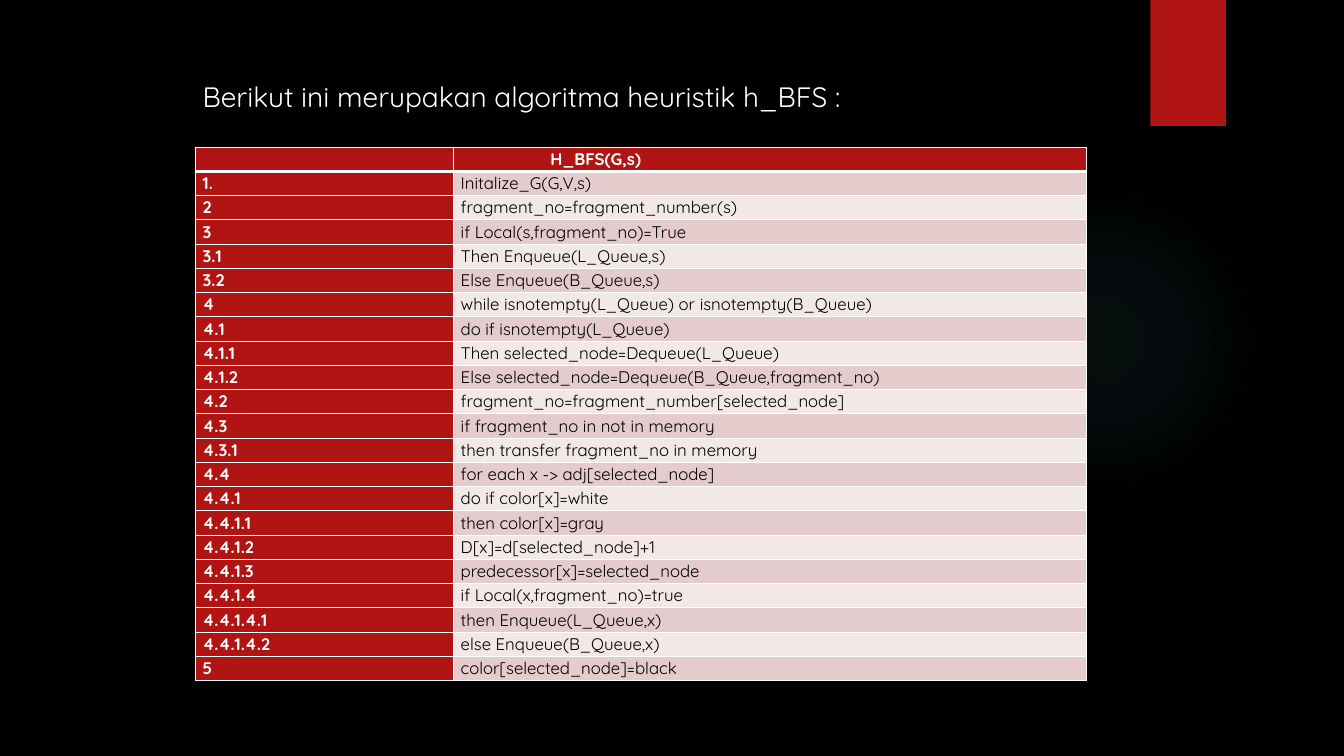
"""Build the slide that lists the h_BFS heuristic algorithm."""
from lxml import etree
from pptx import Presentation
from pptx.dml.color import RGBColor
from pptx.enum.shapes import MSO_SHAPE
from pptx.enum.text import MSO_ANCHOR, PP_ALIGN
from pptx.oxml import parse_xml
from pptx.oxml.ns import nsdecls, qn
from pptx.util import Inches, Pt

ELLIPSE, RECTANGLE = MSO_SHAPE.OVAL, MSO_SHAPE.RECTANGLE
TOP, LEFT = MSO_ANCHOR.TOP, PP_ALIGN.LEFT
BLACK = RGBColor(0x00, 0x00, 0x00)
WHITE = RGBColor(0xFF, 0xFF, 0xFF)
RED = RGBColor(0xB0, 0x15, 0x13)
TEAL = RGBColor(0x50, 0xB9, 0xC1)
DARK_BAND = RGBColor(0xE4, 0xCC, 0xCC)
LIGHT_BAND = RGBColor(0xF2, 0xE8, 0xE7)
FONT = "Quicksand"
GLOW_STOPS = [(0, 7), (36, 6), (69, 0)]
ROWS = [
    ("", "H_BFS(G,s)"),
    ("1.", "Initalize_G(G,V,s)"),
    ("2", "fragment_no=fragment_number(s)"),
    ("3", "if Local(s,fragment_no)=True"),
    ("3.1", "Then Enqueue(L_Queue,s)"),
    ("3.2", "Else Enqueue(B_Queue,s)"),
    ("4", "while isnotempty(L_Queue) or isnotempty(B_Queue)"),
    ("4.1", "do if isnotempty(L_Queue)"),
    ("4.1.1", "Then selected_node=Dequeue(L_Queue)"),
    ("4.1.2", "Else selected_node=Dequeue(B_Queue,fragment_no)"),
    ("4.2", "fragment_no=fragment_number[selected_node]"),
    ("4.3", "if fragment_no in not in memory"),
    ("4.3.1", "then transfer fragment_no in memory"),
    ("4.4", "for each x -> adj[selected_node]"),
    ("4.4.1", "do if color[x]=white"),
    ("4.4.1.1", "then color[x]=gray"),
    ("4.4.1.2", "D[x]=d[selected_node]+1"),
    ("4.4.1.3", "predecessor[x]=selected_node"),
    ("4.4.1.4", "if Local(x,fragment_no)=true"),
    ("4.4.1.4.1", "then Enqueue(L_Queue,x)"),
    ("4.4.1.4.2", "else Enqueue(B_Queue,x)"),
    ("5", "color[selected_node]=black"),
]


def set_font(paragraph, size, color, bold=False):
    paragraph.font.name = FONT
    paragraph.font.size = Pt(size)
    paragraph.font.color.rgb = color
    paragraph.font.bold = bold


def set_borders(cell, widths):
    properties = cell._tc.get_or_add_tcPr()
    for index, (side, width) in enumerate(widths.items()):
        line = etree.Element(qn(f"a:ln{side}"), w=str(Pt(width)))
        fill = etree.SubElement(line, qn("a:solidFill"))
        etree.SubElement(fill, qn("a:srgbClr"), val=str(WHITE))
        properties.insert(index, line)


presentation = Presentation()
presentation.slide_width = Inches(13.33)
presentation.slide_height = Inches(7.5)
slide = presentation.slides.add_slide(presentation.slide_layouts[5])
slide.background.fill.solid()
slide.background.fill.fore_color.rgb = BLACK

glow = slide.shapes.add_shape(ELLIPSE, Inches(9.41), Inches(1.83), Inches(3.08), Inches(3.08))
glow.shadow.inherit = False
glow.line.fill.background()
stops = "".join(
    f'<a:gs pos="{position * 1000}"><a:srgbClr val="{TEAL}">'
    f'<a:alpha val="{opacity * 1000}"/></a:srgbClr></a:gs>'
    for position, opacity in GLOW_STOPS
)
gradient = parse_xml(
    f'<a:gradFill {nsdecls("a")}><a:gsLst>{stops}</a:gsLst><a:path path="circle">'
    '<a:fillToRect l="50000" t="50000" r="50000" b="50000"/></a:path></a:gradFill>'
)
glow._element.spPr.find(qn("a:prstGeom")).addnext(gradient)

ribbon = slide.shapes.add_shape(RECTANGLE, Inches(11.41), 0, Inches(0.75), Inches(1.25))
ribbon.shadow.inherit = False
ribbon.fill.solid()
ribbon.fill.fore_color.rgb = RED
ribbon.line.fill.background()

title = slide.shapes.title
title.left, title.top = Inches(1.91), Inches(0.74)
title.width, title.height = Inches(9.4), Inches(0.6)
title.text_frame.text = "Berikut ini merupakan algoritma heuristik h_BFS :"
title.text_frame.vertical_anchor = TOP
heading = title.text_frame.paragraphs[0]
heading.alignment = LEFT
set_font(heading, 20, WHITE)

table = slide.shapes.add_table(
    len(ROWS), 2, Inches(1.94), Inches(1.46), Inches(8.84), Inches(5.3)
).table
table.columns[0].width = Inches(2.56)
table.columns[1].width = Inches(6.28)
for row_index, texts in enumerate(ROWS):
    for column_index, text in enumerate(texts):
        cell = table.cell(row_index, column_index)
        cell.text = text
        cell.margin_left, cell.margin_right = Inches(0.07), Inches(0.08)
        cell.margin_top = cell.margin_bottom = 0
        is_heading = row_index == 0 or column_index == 0
        band = DARK_BAND if row_index % 2 else LIGHT_BAND
        cell.fill.solid()
        cell.fill.fore_color.rgb = RED if is_heading else band
        paragraph = cell.text_frame.paragraphs[0]
        paragraph.line_spacing = 1.07
        set_font(paragraph, 12, WHITE if is_heading else BLACK, is_heading)
        top_width = 3 if row_index == 1 else 1
        bottom_width = 3 if row_index == 0 else 1
        set_borders(cell, {"L": 1, "R": 1, "T": top_width, "B": bottom_width})

header_properties = table.cell(0, 1).text_frame.paragraphs[0]._p.get_or_add_pPr()
header_properties.set("marL", str(Inches(0.89)))

presentation.save("out.pptx")
